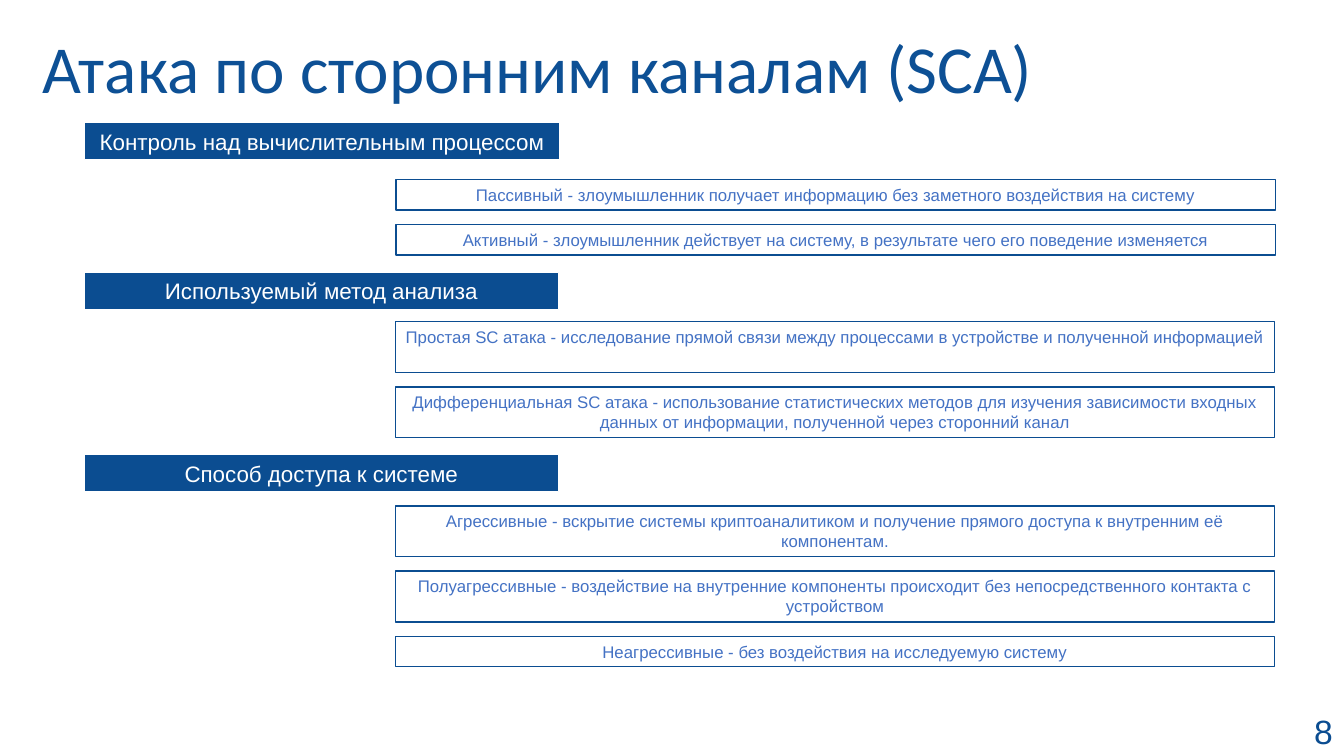
from dataclasses import dataclass

from pptx import Presentation
from pptx.dml.color import RGBColor
from pptx.enum.shapes import MSO_SHAPE
from pptx.enum.text import MSO_ANCHOR, PP_ALIGN
from pptx.util import Pt

RECT = MSO_SHAPE.RECTANGLE
TOP, MIDDLE = MSO_ANCHOR.TOP, MSO_ANCHOR.MIDDLE
LEFT, CENTER = PP_ALIGN.LEFT, PP_ALIGN.CENTER


@dataclass(frozen=True)
class Theme:
    """Colours, fonts and type sizes of the slide."""
    navy: RGBColor = RGBColor(0x0B, 0x4D, 0x91)
    title: RGBColor = RGBColor(0x0D, 0x50, 0x95)
    blue: RGBColor = RGBColor(0x44, 0x72, 0xC4)
    white: RGBColor = RGBColor(0xFF, 0xFF, 0xFF)
    title_font: str = "Calibri"
    body_font: str = "Arial"
    title_size: int = 48
    number_size: int = 24
    heading_size: int = 16
    item_size: int = 12


THEME = Theme()
ITEM_INDENT, ITEM_WIDTH, ITEM_GAP = 222.5, 628, 10.3
HEADING_WIDTH, HEADING_HEIGHT = 339, 26.5
ONE_LINE, TWO_LINES = 21.8, 36.3

SECTIONS = [
    (60.5, 87.8, 40.4, "Контроль над вычислительным процессом", [
        (ONE_LINE, "Пассивный - злоумышленник получает информацию без заметного "
                   "воздействия на систему"),
        (ONE_LINE, "Активный - злоумышленник действует на систему, в результате "
                   "чего его поведение изменяется"),
    ]),
    (60, 194.6, 35.1, "Используемый метод анализа", [
        (TWO_LINES, "Простая SC атака - исследование прямой связи между процессами "
                    "в устройстве и полученной информацией"),
        (TWO_LINES, "Дифференциальная SC атака - использование статистических методов "
                    "для изучения зависимости входных данных от информации, "
                    "полученной через сторонний канал"),
    ]),
    (60, 324.7, 36.6, "Способ доступа к системе", [
        (TWO_LINES, "Агрессивные - вскрытие системы криптоаналитиком и получение "
                    "прямого доступа к внутренним её компонентам."),
        (TWO_LINES, "Полуагрессивные - воздействие на внутренние компоненты происходит "
                    "без непосредственного контакта с устройством"),
        (ONE_LINE, "Неагрессивные - без воздействия на исследуемую систему"),
    ]),
]


def set_text(sp, text, font, size, color, align, anchor):
    """Write one formatted paragraph into a shape."""
    tf = sp.text_frame
    tf.text = text
    tf.word_wrap = True
    tf.vertical_anchor = anchor
    p = tf.paragraphs[0]
    p.alignment = align
    r = p.runs[0]
    r.font.name = font
    r.font.size = Pt(size)
    r.font.color.rgb = color
    return tf


def add_box(slide, x, y, w, h, fill, line, line_width):
    """Draw a flat outlined rectangle."""
    sp = slide.shapes.add_shape(RECT, Pt(x), Pt(y), Pt(w), Pt(h))
    sp.shadow.inherit = False
    sp.fill.solid()
    sp.fill.fore_color.rgb = fill
    sp.line.color.rgb = line
    sp.line.width = Pt(line_width)
    return sp


def add_title(slide, x, y, w, h, text):
    """Place the slide title."""
    sp = slide.shapes.add_textbox(Pt(x), Pt(y), Pt(w), Pt(h))
    tf = set_text(sp, text, THEME.title_font, THEME.title_size, THEME.title, LEFT, MIDDLE)
    tf.paragraphs[0].line_spacing = 0.9


def add_number(slide, x, y, w, h, text):
    """Place the page number."""
    sp = slide.shapes.add_textbox(Pt(x), Pt(y), Pt(w), Pt(h))
    tf = set_text(sp, text, THEME.body_font, THEME.number_size, THEME.navy, LEFT, TOP)
    tf.word_wrap = False


def add_section(slide, x, y, item_offset, heading, items):
    """Place a heading bar with its stack of indented items."""
    sp = add_box(slide, x, y, HEADING_WIDTH, HEADING_HEIGHT, THEME.navy, THEME.white, 0.75)
    set_text(sp, heading, THEME.body_font, THEME.heading_size, THEME.white, CENTER, MIDDLE)
    top = y + item_offset
    for height, text in items:
        sp = add_box(slide, x + ITEM_INDENT, top, ITEM_WIDTH, height,
                     THEME.white, THEME.navy, 1)
        tf = set_text(sp, text, THEME.body_font, THEME.item_size, THEME.blue, CENTER, TOP)
        tf.margin_left = tf.margin_right = Pt(6)
        top += height + ITEM_GAP


def main():
    """Build and save the slide."""
    prs = Presentation()
    prs.slide_width, prs.slide_height = Pt(960), Pt(540)
    slide = prs.slides.add_slide(prs.slide_layouts[6])
    add_number(slide, 931.7, 504, 28, 36, "8")
    for section in SECTIONS:
        add_section(slide, *section)
    add_title(slide, 23.5, -0.7, 922, 104.4, "Атака по сторонним каналам (SCA)")
    prs.save("out.pptx")


if __name__ == "__main__":
    main()
